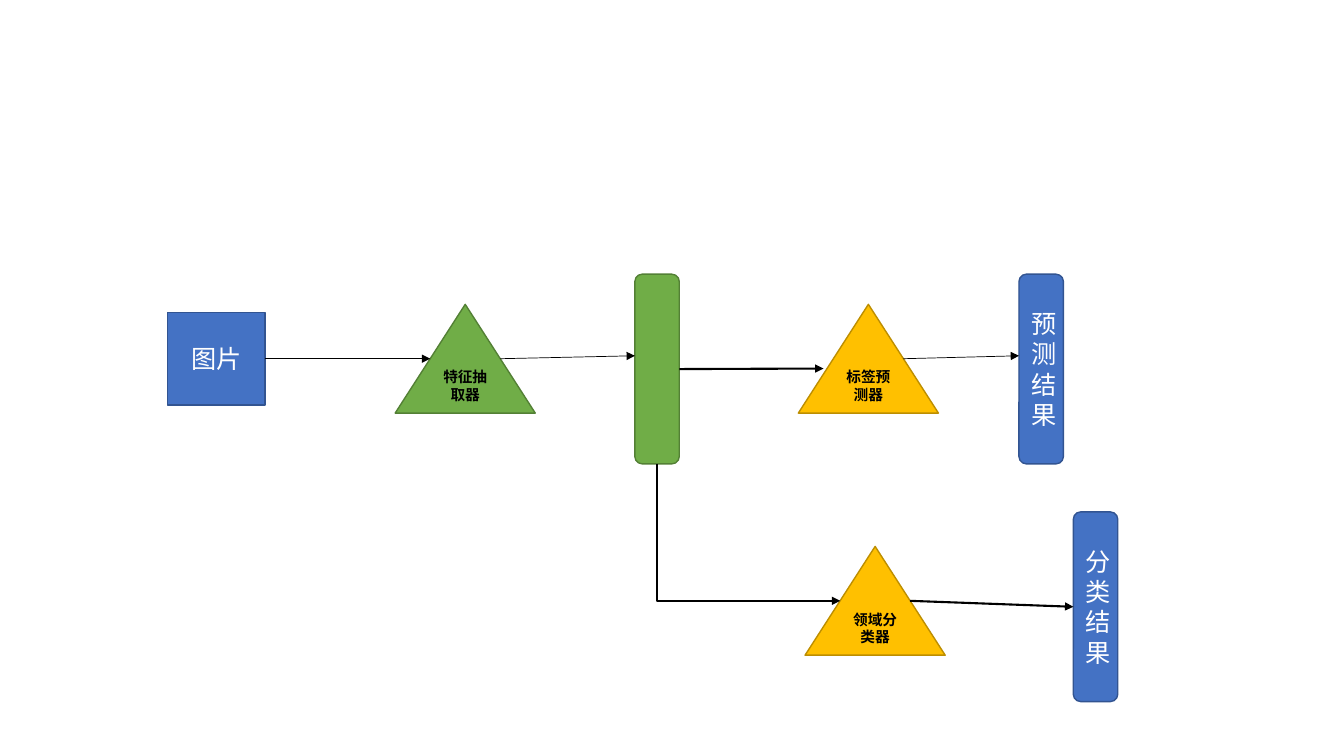
from pptx import Presentation, util as u
from pptx.dml.color import RGBColor
from pptx.enum import shapes, text
from pptx.oxml import ns, xmlchemy

Cm, Pt = u.Cm, u.Pt
FONT = "Noto Sans CJK SC"
COLOURS = {
    "blue": "4472C4", "blue edge": "325491",
    "green": "70AD47", "green edge": "538035",
    "gold": "FFC000", "gold edge": "BD8E00",
    "black": "000000", "white": "FFFFFF",
}
# kind: preset shape, width and height in cm, text format
KINDS = {
    "box": (shapes.MSO_SHAPE.RECTANGLE, 2.46, 2.34, dict(size=18, colour="white")),
    "model": (shapes.MSO_SHAPE.ISOSCELES_TRIANGLE, 3.53, 2.74,
              dict(size=10.5, colour="black", bold=True)),
    "bar": (shapes.MSO_SHAPE.ROUNDED_RECTANGLE, 1.12, 4.78, dict(size=18, colour="white")),
}
# name: kind, left and top in cm, colour, text
NODES = {
    "extractor": ("model", 9.96, 7.67, "green", "特征抽取器"),
    "label predictor": ("model", 20.12, 7.67, "gold", "标签预测器"),
    "image": ("box", 4.22, 7.87, "blue", "图片"),
    "features": ("bar", 16, 6.91, "green", ""),
    "prediction": ("bar", 25.68, 6.91, "blue", "预测结果"),
    "domain classifier": ("model", 20.29, 13.77, "gold", "领域分类器"),
    "classification": ("bar", 27.05, 12.9, "blue", "分类结果"),
}
# start node, share of its height, end node, share of its height, gap in cm, points
ARROWS = [
    ("image", 0.5, "extractor", 0.5, 0, 0.5),
    ("extractor", 0.5, "features", 0.43, 0, 0.5),
    ("features", 0.5, "label predictor", 0.59, 0.09, 1.5),
    ("label predictor", 0.5, "prediction", 0.43, 0, 0.5),
    ("domain classifier", 0.5, "classification", 0.5, 0, 1.5),
]


def rgb(name):
    """Return the named colour."""
    return RGBColor.from_string(COLOURS[name])


def write(shape, words, *, size, colour, bold=False):
    """Put centred, formatted text in a shape."""
    frame = shape.text_frame
    frame.word_wrap = True
    frame.vertical_anchor = text.MSO_ANCHOR.MIDDLE
    paragraph = frame.paragraphs[0]
    paragraph.alignment = text.PP_ALIGN.CENTER
    run = paragraph.add_run()
    run.text = words
    font = run.font
    font.size, font.bold, font.name = Pt(size), bold, FONT
    font.color.rgb = rgb(colour)
    east_asian = xmlchemy.OxmlElement("a:ea")
    east_asian.set("typeface", FONT)
    font._element.append(east_asian)


def add_node(slide, kind, left, top, colour, words):
    """Draw one block of the network."""
    preset, width, height, text_format = KINDS[kind]
    shape = slide.shapes.add_shape(preset, Cm(left), Cm(top), Cm(width), Cm(height))
    shape.shadow.inherit = False
    shape.fill.solid()
    shape.fill.fore_color.rgb = rgb(colour)
    shape.line.color.rgb = rgb(colour + " edge")
    shape.line.width = Pt(1)
    if words:
        write(shape, words, **text_format)


def side_point(name, side, share):
    """Return the point on a node's left or right edge at a share of its height."""
    kind, left, top, *_ = NODES[name]
    _, width, height, _ = KINDS[kind]
    inset = width / 2 * (1 - share) if kind == "model" else 0
    x = left + inset if side == "left" else left + width - inset
    return x, top + height * share


def add_arrow(slide, start, end, points, kind=shapes.MSO_CONNECTOR.STRAIGHT):
    """Draw a black connector with an arrowhead at its end."""
    arrow = slide.shapes.add_connector(kind, *(Cm(value) for value in (*start, *end)))
    arrow.line.color.rgb = rgb("black")
    arrow.line.width = Pt(points)
    head = xmlchemy.OxmlElement("a:tailEnd")
    head.set("type", "triangle")
    arrow.line._get_or_add_ln().append(head)
    arrow._element.spPr.append(xmlchemy.OxmlElement("a:effectLst"))
    return arrow


def add_down_right_arrow(slide, start, end, points):
    """Draw an arrow that goes down, then right: a turned, mirrored one-bend connector."""
    (x1, y1), (x2, y2) = start, end
    middle_x, middle_y = (x1 + x2) / 2, (y1 + y2) / 2
    half_width, half_height = (y2 - y1) / 2, (x2 - x1) / 2
    arrow = add_arrow(slide, (middle_x + half_width, middle_y - half_height),
                      (middle_x - half_width, middle_y + half_height),
                      points, shapes.MSO_CONNECTOR.ELBOW)
    arrow.rotation = 270
    arrow._element.spPr.find(ns.qn("a:prstGeom")).set("prst", "bentConnector2")


presentation = Presentation()
presentation.slide_width, presentation.slide_height = Cm(33.87), Cm(19.05)
slide = presentation.slides.add_slide(presentation.slide_layouts[6])

for node in NODES.values():
    add_node(slide, *node)

for source, source_share, target, target_share, gap, points in ARROWS:
    x, y = side_point(target, "left", target_share)
    add_arrow(slide, side_point(source, "right", source_share), (x - gap, y), points)

kind, left, top, *_ = NODES["features"]
_, width, height, _ = KINDS[kind]
add_down_right_arrow(slide, (left + width / 2, top + height),
                     side_point("domain classifier", "left", 0.5), 1.5)

presentation.save("out.pptx")
